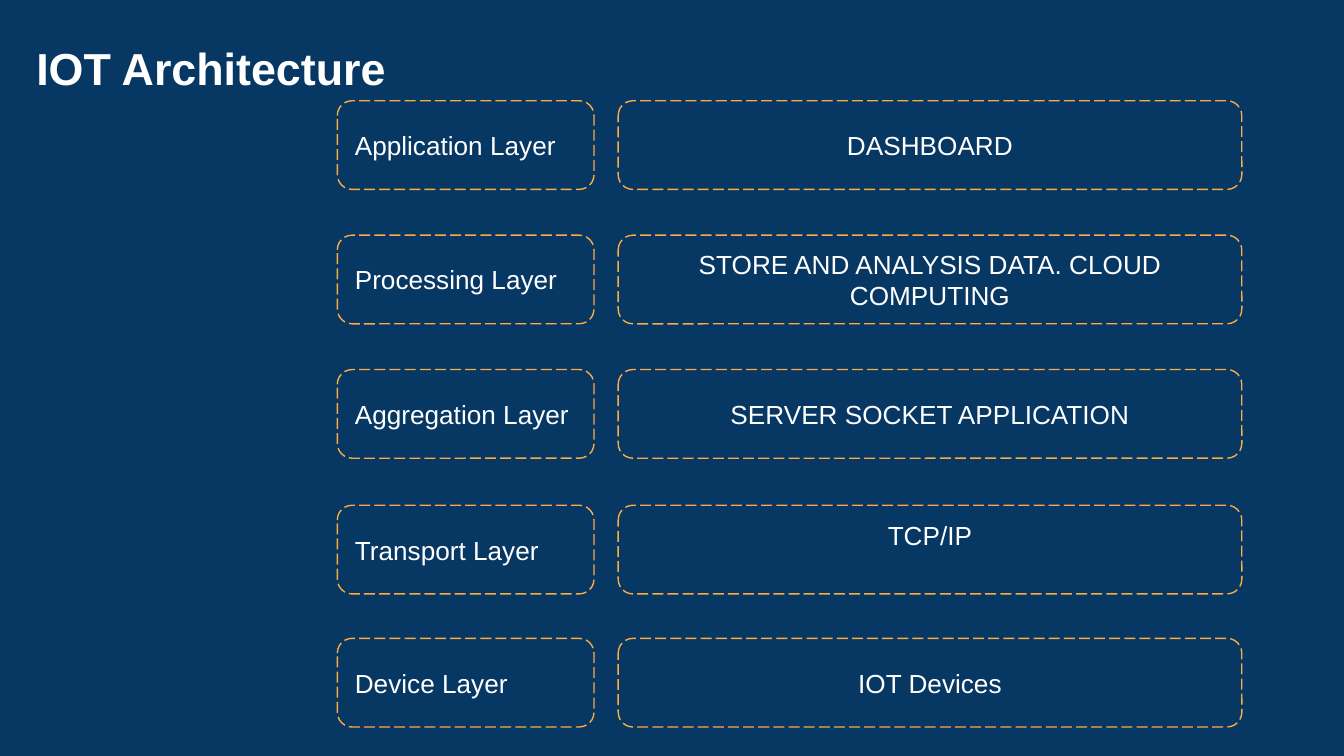
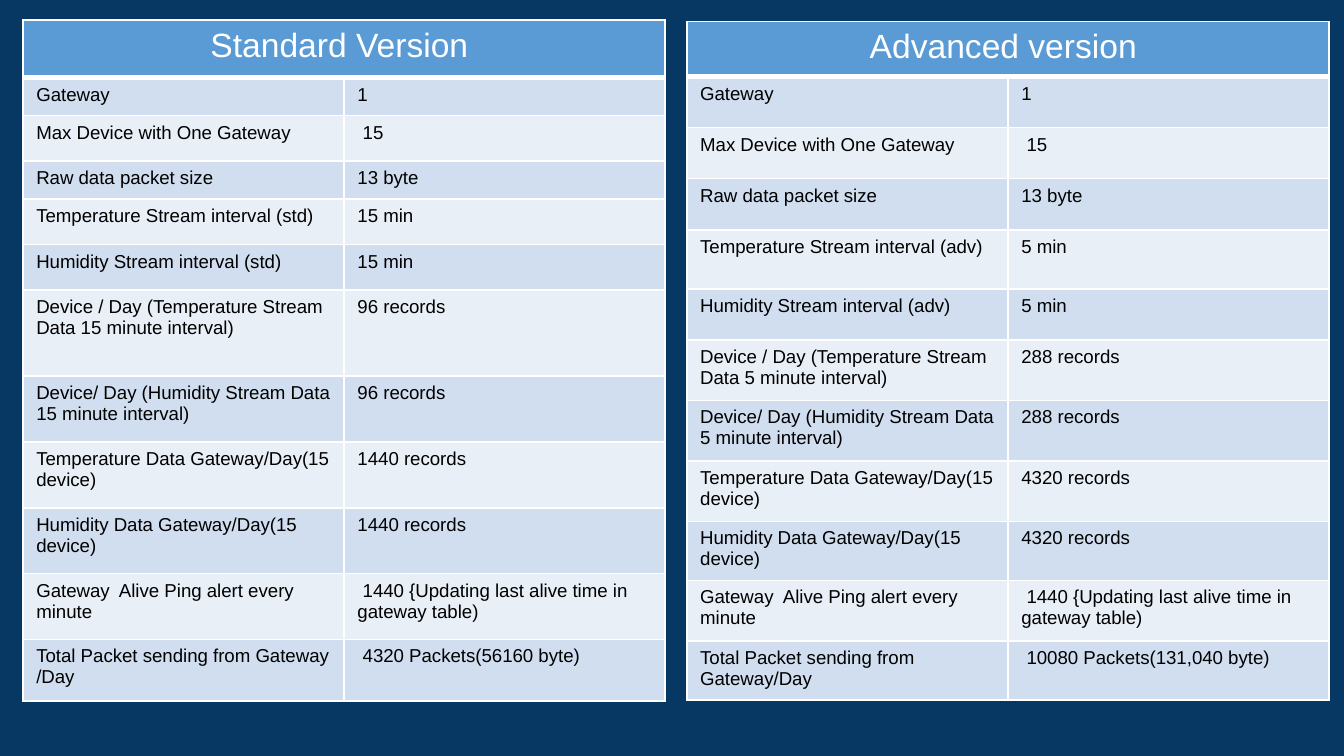
import pptx
import pptx.util
import pptx.dml.color
import pptx.enum.dml
import pptx.enum.shapes
import pptx.enum.text
import pptx.oxml
import pptx.oxml.ns

Inches = pptx.util.Inches
Pt = pptx.util.Pt
RGBColor = pptx.dml.color.RGBColor
ALIGN = pptx.enum.text.PP_ALIGN
ANCHOR = pptx.enum.text.MSO_ANCHOR

# Shared look
FONT = "Arial"
NAVY = RGBColor(0x07, 0x37, 0x63)
ORANGE = RGBColor(0xFF, 0xAB, 0x40)
WHITE = RGBColor(0xFF, 0xFF, 0xFF)
BLACK = RGBColor(0, 0, 0)
HEADER_BLUE = RGBColor(0x5B, 0x9B, 0xD5)
BANDS = (RGBColor(0xD0, 0xDE, 0xEF), RGBColor(0xE9, 0xEF, 0xF7))

# Content: layer, what it holds, top of the row, bottom inset of the detail box
TITLE = "IOT Architecture"
LAYERS = [
    ("Application Layer", "DASHBOARD", 0.75, 0.1),
    ("Processing Layer", "STORE AND ANALYSIS DATA. CLOUD COMPUTING", 1.75, 0.1),
    ("Aggregation Layer", "SERVER SOCKET APPLICATION", 2.75, 0.1),
    ("Transport Layer", "TCP/IP", 3.76, 0.32),
    ("Device Layer", "IOT Devices", 4.75, 0.1),
]

# Row labels common to both versions
LABELS = [
    "Gateway",
    "Max Device with One Gateway",
    "Raw data packet size",
    "Temperature Stream interval ({short})",
    "Humidity Stream interval ({short})",
    "Device / Day (Temperature Stream Data {minutes} minute interval)",
    "Device/ Day (Humidity Stream Data {minutes} minute interval)",
    "Temperature Data Gateway/Day(15 device)",
    "Humidity Data Gateway/Day(15 device)",
    "Gateway  Alive Ping alert every minute",
    "Total Packet sending from {total}",
]
PING = " 1440 {Updating last alive time in gateway table)"
VERSIONS = [
    {
        "heading": "Standard Version ", "left": 0.17, "top": 0.15,
        "words": {"short": "std", "minutes": 15, "total": "Gateway /Day"},
        "values": ["1", " 15", "13 byte", "15 min", "15 min",
                   "96 records", "96 records", "1440 records",
                   "1440 records", PING, " 4320 Packets(56160 byte)"],
        "heights": [0.43, 0.28, 0.34, 0.28, 0.34, 0.34,
                    0.64, 0.49, 0.49, 0.49, 0.49, 0.46],
    },
    {
        "heading": "Advanced version ", "left": 5.11, "top": 0.16,
        "words": {"short": "adv", "minutes": 5, "total": "Gateway/Day"},
        "values": ["1", " 15", "13 byte", "5 min", "5 min",
                   "288 records", "288 records", "4320 records",
                   "4320 records", PING, " 10080 Packets(131,040 byte)"],
        "heights": [0.41, 0.38, 0.38, 0.38, 0.44, 0.38,
                    0.45, 0.45, 0.45, 0.44, 0.45, 0.44],
    },
]

# Geometry in inches; the page is 16:9
PAGE_WIDTH = 10
BOX_HEIGHT = 0.66
LAYER_LEFT, LAYER_WIDTH = 2.51, 1.91
DETAIL_LEFT, DETAIL_WIDTH = 4.6, 4.64
COLUMN_WIDTH = 2.39


def write(tf, text, size=14, color=WHITE, bold=None, align=ALIGN.LEFT):
    p = tf.paragraphs[0]
    p.alignment = align
    r = p.add_run()
    r.text = text
    r.font.name = FONT
    r.font.size = Pt(size)
    r.font.bold = bold
    r.font.color.rgb = color


def set_insets(tf, bottom=0.1):
    tf.word_wrap = True
    tf.margin_left = tf.margin_right = tf.margin_top = Inches(0.1)
    tf.margin_bottom = Inches(bottom)


def add_slide(prs, layout):
    s = prs.slides.add_slide(prs.slide_layouts[layout])
    s.background.fill.solid()
    s.background.fill.fore_color.rgb = NAVY
    return s


def add_box(s, left, top, width, text, align, bottom=0.1):
    sp = s.shapes.add_shape(
        pptx.enum.shapes.MSO_SHAPE.ROUNDED_RECTANGLE,
        Inches(left), Inches(top), Inches(width), Inches(BOX_HEIGHT))
    sp.shadow.inherit = False
    sp.fill.solid()
    sp.fill.fore_color.rgb = NAVY
    sp.line.color.rgb = ORANGE
    sp.line.width = Pt(0.75)
    sp.line.dash_style = pptx.enum.dml.MSO_LINE.LONG_DASH
    tf = sp.text_frame
    set_insets(tf, bottom)
    tf.vertical_anchor = ANCHOR.MIDDLE
    write(tf, text, align=align)


def style_cell(cell, fill, top=1, bottom=1):
    tc_pr = cell._tc.get_or_add_tcPr()
    for side, width in (("L", 1), ("R", 1), ("T", top), ("B", bottom)):
        tc_pr.append(pptx.oxml.parse_xml(
            f'<a:ln{side} {pptx.oxml.ns.nsdecls("a")} w="{Pt(width)}">'
            f'<a:solidFill><a:srgbClr val="{WHITE}"/></a:solidFill>'
            f'</a:ln{side}>'))
    cell.fill.solid()
    cell.fill.fore_color.rgb = fill


def add_version_table(s, version):
    heights = version["heights"]
    table = s.shapes.add_table(
        len(heights), 2, Inches(version["left"]), Inches(version["top"]),
        Inches(2 * COLUMN_WIDTH), Inches(sum(heights))).table
    for column in table.columns:
        column.width = Inches(COLUMN_WIDTH)
    for row, height in zip(table.rows, heights):
        row.height = Inches(height)

    # Heading across both columns
    heading = table.cell(0, 0)
    heading.merge(table.cell(0, 1))
    for cell in table.rows[0].cells:
        style_cell(cell, HEADER_BLUE, bottom=3)
    write(heading.text_frame, version["heading"], size=18, align=ALIGN.CENTER)

    # Banded rows
    for i, (label, value) in enumerate(zip(LABELS, version["values"])):
        texts = (label.format(**version["words"]), value)
        for cell, text in zip(table.rows[i + 1].cells, texts):
            style_cell(cell, BANDS[i % 2], top=1 if i else 3)
            write(cell.text_frame, text, size=10, color=BLACK)


def build_architecture(prs):
    s = add_slide(prs, 5)
    title = s.shapes.title
    title.left, title.top = Inches(0.17), Inches(0.2)
    title.width, title.height = Inches(5.6), Inches(0.53)
    tf = title.text_frame
    set_insets(tf)
    tf.auto_size = pptx.enum.text.MSO_AUTO_SIZE.NONE
    tf.vertical_anchor = ANCHOR.TOP
    write(tf, TITLE, size=24, bold=True)
    for layer, detail, top, bottom in LAYERS:
        add_box(s, LAYER_LEFT, top, LAYER_WIDTH, layer, ALIGN.LEFT)
        add_box(s, DETAIL_LEFT, top, DETAIL_WIDTH, detail, ALIGN.CENTER, bottom)


def build_versions(prs):
    s = add_slide(prs, 6)
    for version in VERSIONS:
        add_version_table(s, version)


def main():
    prs = pptx.Presentation()
    prs.slide_width = Inches(PAGE_WIDTH)
    prs.slide_height = Inches(PAGE_WIDTH * 9 / 16)
    build_architecture(prs)
    build_versions(prs)
    prs.save("out.pptx")


if __name__ == "__main__":
    main()
